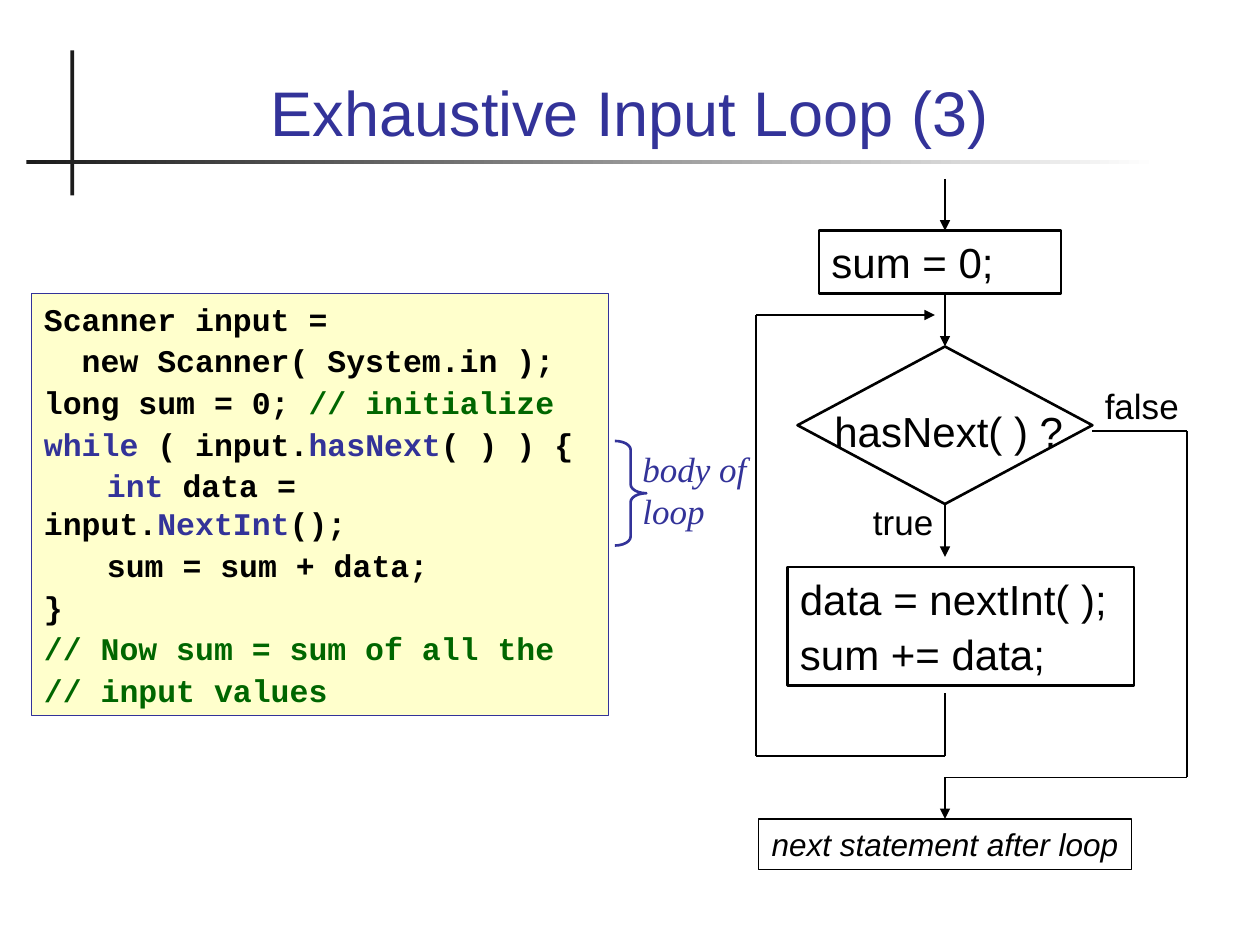
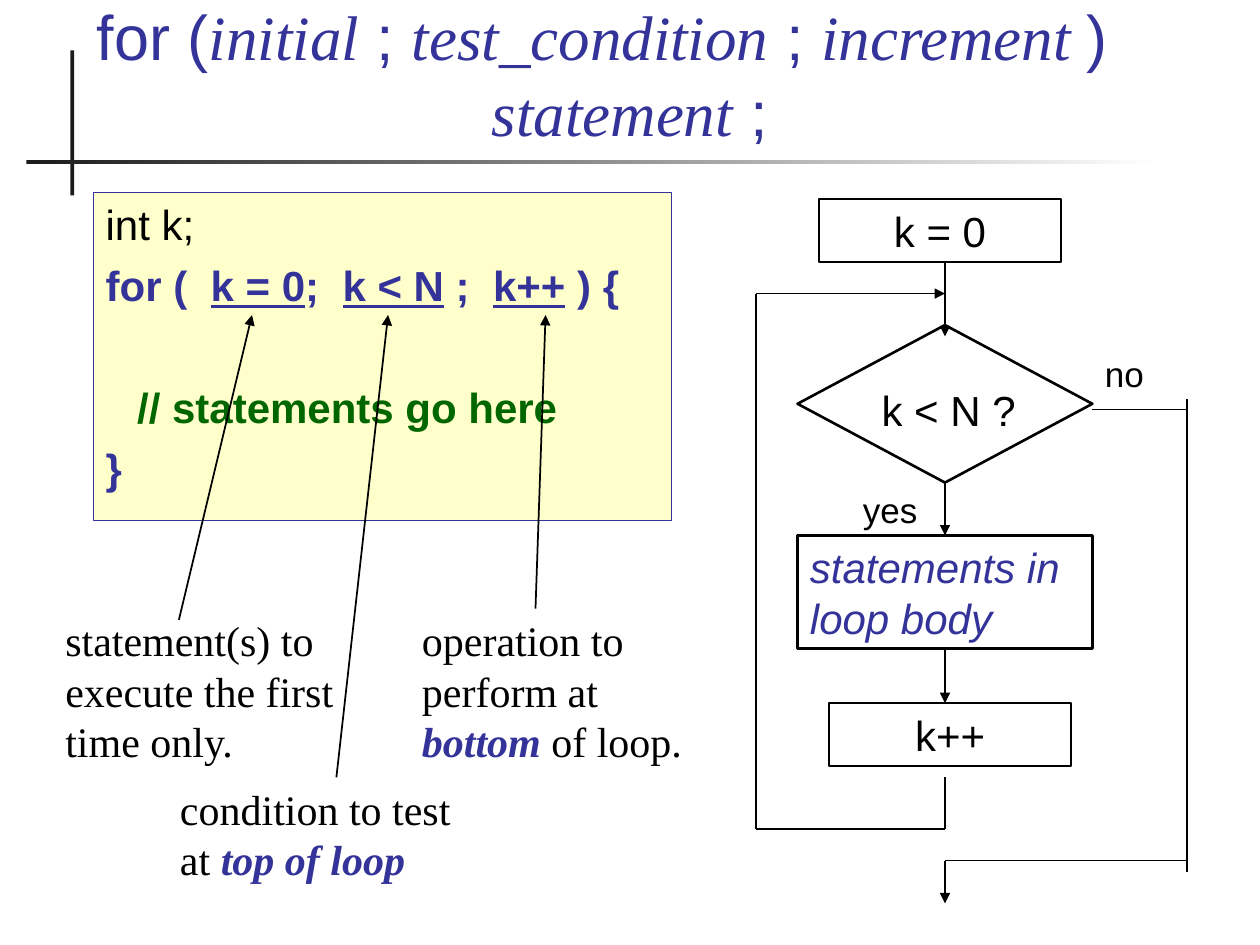
from dataclasses import dataclass, field
from itertools import pairwise
from typing import Optional

from lxml import etree
from pptx import Presentation
from pptx.dml.color import RGBColor
from pptx.enum.shapes import MSO_CONNECTOR, MSO_SHAPE
from pptx.enum.text import MSO_ANCHOR, PP_ALIGN
from pptx.oxml.ns import qn
from pptx.util import Inches, Pt

BLACK = RGBColor(0x00, 0x00, 0x00)
WHITE = RGBColor(0xFF, 0xFF, 0xFF)
CHARCOAL = RGBColor(0x1C, 0x1C, 0x1C)
INDIGO = RGBColor(0x33, 0x33, 0x99)
GREEN = RGBColor(0x00, 0x66, 0x00)
CREAM = RGBColor(0xFF, 0xFF, 0xCC)

SANS, SERIF, MONO = "Arial", "Times New Roman", "Courier New"
LEFT, CENTER = PP_ALIGN.LEFT, PP_ALIGN.CENTER
TOP, BOTTOM = MSO_ANCHOR.TOP, MSO_ANCHOR.BOTTOM
RECTANGLE, DECISION = MSO_SHAPE.RECTANGLE, MSO_SHAPE.FLOWCHART_DECISION
BRACE = MSO_SHAPE.RIGHT_BRACE
STRAIGHT = MSO_CONNECTOR.STRAIGHT
TOP_SITE, BOTTOM_SITE = 0, 2

LINE_HEIGHT = 1.2
FLOW_X, LOOP_X, EXIT_X = 7.5, 6, 9.42
DECISION_LEFT, DECISION_WIDTH, DECISION_HEIGHT = 6.33, 2.34, 1.25
DECISION_RIGHT = DECISION_LEFT + DECISION_WIDTH


@dataclass
class Span:
    """A run; unset values come from its block."""
    text: str
    color: Optional[RGBColor] = None
    font: Optional[str] = None
    bold: Optional[bool] = None
    italic: Optional[bool] = None
    underline: Optional[bool] = None


@dataclass
class Para:
    spans: list[Span]
    gap: Optional[float] = None
    indent: float = 0


@dataclass
class Block:
    """Text with an optional outline and fill; place is left, top, width, height."""
    place: tuple[float, float, float, float]
    paras: list[Para] = field(default_factory=list)
    size: float = 24
    font: str = SANS
    color: RGBColor = BLACK
    bold: bool = False
    italic: bool = False
    align: PP_ALIGN = LEFT
    anchor: MSO_ANCHOR = TOP
    gap: float = 0
    wrap: bool = True
    fill: Optional[RGBColor] = None
    border: Optional[RGBColor] = None
    border_width: float = 1.5


def line_of(text: str, color: Optional[RGBColor] = None) -> Para:
    return Para([Span(text, color)])


def add_outline(page, kind, place, color=None, width=1.5, fill=None):
    shape = page.shapes.add_shape(kind, *map(Inches, place))
    shape.shadow.inherit = False
    if fill is None:
        shape.fill.background()
    else:
        shape.fill.solid()
        shape.fill.fore_color.rgb = fill
    if color is None:
        shape.line.fill.background()
    else:
        shape.line.color.rgb = color
        shape.line.width = Pt(width)
    return shape


def add_spans(para, spans: list[Span]) -> None:
    for span in spans:
        if span.text == "\n":
            para.add_line_break()
            continue
        run = para.add_run()
        run.text = span.text
        if span.color is not None:
            run.font.color.rgb = span.color
        if span.font:
            run.font.name = span.font
        for name in ("bold", "italic", "underline"):
            if getattr(span, name) is not None:
                setattr(run.font, name, getattr(span, name))


def add_block(page, block: Block):
    if block.border is None:
        box = page.shapes.add_textbox(*map(Inches, block.place))
    else:
        box = add_outline(page, RECTANGLE, block.place, block.border,
                          block.border_width, block.fill)
    frame = box.text_frame
    frame.word_wrap = block.wrap
    frame.vertical_anchor = block.anchor
    for index, item in enumerate(block.paras):
        para = frame.add_paragraph() if index else frame.paragraphs[0]
        para.alignment = block.align
        para.line_spacing = Pt(LINE_HEIGHT * block.size)
        if index:
            para.space_before = Pt(block.gap if item.gap is None else item.gap)
        if item.indent:
            para._p.get_or_add_pPr().set("marL", str(Inches(item.indent)))
        para.font.name = block.font
        para.font.size = Pt(block.size)
        para.font.bold = block.bold
        para.font.italic = block.italic
        para.font.color.rgb = block.color
        add_spans(para, item.spans)
    return box


def add_route(page, *points: tuple[float, float], arrow: bool = True,
              width: float = 0.75, start=None, finish=None) -> None:
    """Straight connectors through the points, the last with an arrowhead."""
    legs = []
    for begin, end in pairwise(points):
        leg = page.shapes.add_connector(STRAIGHT, *map(Inches, begin + end))
        leg.line.color.rgb = BLACK
        leg.line.width = Pt(width)
        etree.SubElement(leg._element.spPr, qn("a:effectLst"))
        legs.append(leg)
    if arrow:
        etree.SubElement(legs[-1].line._get_or_add_ln(), qn("a:tailEnd"), type="triangle")
    if start is not None:
        legs[0].begin_connect(start, BOTTOM_SITE)
    if finish is not None:
        legs[-1].end_connect(finish, TOP_SITE)


def add_page(deck, title: list[Span]):
    """A blank page with the crossed title rules and the title."""
    page = deck.slides.add_slide(deck.slide_layouts[6])
    add_outline(page, RECTANGLE, (0.56, 0.4, 0.03, 1.15), fill=CHARCOAL)
    rule = add_outline(page, RECTANGLE, (0.21, 1.27, 8.99, 0.03))
    rule.fill.gradient()
    rule.fill.gradient_angle = 0
    for stop, color in zip(rule.fill.gradient_stops, (CHARCOAL, WHITE)):
        stop.color.rgb = color
    add_block(page, Block((0.67, 0.28, 8.66, 0.95), [Para(title)], size=36,
                          color=INDIGO, align=CENTER, anchor=BOTTOM))
    return page


def add_step(page, left: float, top: float, text: str, align=CENTER):
    return add_block(page, Block((left, top, 1.92, 0.5), [line_of(text)],
                                 align=align, border=BLACK))


def add_decision(page, top: float, question: str):
    decision = add_outline(page, DECISION,
                           (DECISION_LEFT, top, DECISION_WIDTH, DECISION_HEIGHT), BLACK)
    add_block(page, Block((DECISION_LEFT, top + 0.42, 2.4, 0.5),
                          [line_of(question)], align=CENTER))
    return decision


def add_branch(page, left: float, top: float, text: str) -> None:
    add_block(page, Block((left, top, 0.83, 0.44), [line_of(text)], size=20))


def build_input_loop(deck) -> None:
    page = add_page(deck, [Span("Exhaustive Input Loop (3)")])

    # Flowchart
    add_route(page, (FLOW_X, 1.42), (FLOW_X, 1.83))
    add_step(page, 6.5, 1.83, "sum = 0;", LEFT)
    decision = add_decision(page, 2.75, "hasNext( ) ?")
    add_route(page, (FLOW_X, 2.33), (FLOW_X, 2.75), finish=decision)
    add_route(page, (FLOW_X, 4), (FLOW_X, 4.42), start=decision)
    add_block(page, Block((6.25, 4.5, 2.75, 0.94),
                          [line_of("data = nextInt( );"), line_of("sum += data;")],
                          gap=3, border=BLACK))
    add_route(page, (FLOW_X, 5.5), (FLOW_X, 6), (LOOP_X, 6), (LOOP_X, 2.5), (7.42, 2.5))
    add_branch(page, 6.83, 3.92, "true")
    add_branch(page, DECISION_RIGHT, 3, "false")
    after_loop = add_block(page, Block(
        (6.02, 6.5, 2.96, 0.4), [line_of("next statement after loop")], size=18,
        italic=True, align=CENTER, wrap=False, border=BLACK, border_width=0.75))
    add_route(page, (DECISION_RIGHT, 3.42), (EXIT_X, 3.42), (EXIT_X, 6.17),
              (FLOW_X, 6.17), (FLOW_X, 6.5), finish=after_loop)

    # Brace and its label
    brace = add_outline(page, BRACE, (4.88, 3.5, 0.25, 0.83), INDIGO)
    brace.adjustments[0] = 0.28
    add_block(page, Block((5, 3.5, 1.17, 0.77), [line_of("body of loop")], size=20,
                          font=SERIF, color=INDIGO, italic=True))

    # Code
    code = [
        line_of("Scanner input ="),
        line_of("  new Scanner( System.in );"),
        Para([Span("long sum = 0; "), Span("// initialize", GREEN)]),
        Para([Span("while", INDIGO), Span(" ( input."), Span("hasNext", INDIGO),
              Span("( ) ) {")]),
        Para([Span("\t"), Span("int", INDIGO), Span(" data = input."),
              Span("NextInt", INDIGO), Span("();")]),
        line_of("\tsum = sum + data;"),
        line_of("}"),
        line_of("// Now sum = sum of all the", GREEN),
        line_of("// input values", GREEN),
    ]
    add_block(page, Block((0.25, 2.33, 4.58, 3.35), code, size=18, font=MONO, bold=True,
                          gap=2.2, fill=CREAM, border=INDIGO, border_width=0.75))


def build_for_loop(deck) -> None:
    def term(text: str) -> Span:
        return Span(text, font=SERIF, italic=True)

    def part(text: str) -> Span:
        return Span(text, INDIGO, underline=True)

    def strong(text: str) -> Span:
        return Span(text, INDIGO, bold=True, italic=True)

    page = add_page(deck, [
        Span("for ("), term("initial"), Span(" ; "), term("test_condition"), Span(" ; "),
        term("increment "), Span(") \t"), term("statement"), Span(" ;")])

    # Code
    code = [
        Para([Span("int k;", BLACK, bold=False)]),
        Para([Span("for (  "), part("k = 0"), Span(";  "), part("k < N"), Span(" ;  "),
              part("k++"), Span(" ) {")]),
        Para([Span("// statements go here", GREEN)], gap=40.8, indent=0.25),
        line_of("}"),
    ]
    add_block(page, Block((0.74, 1.53, 4.59, 2.6), code, color=INDIGO, bold=True, gap=6,
                          fill=CREAM, border=INDIGO, border_width=0.75))

    # Explanations with arrows to the parts of the loop header
    notes = [
        ((0.42, 4.83, 2.42, 1.3), (1.42, 4.92), (2, 2.5),
         [Span("statement(s) to execute the first time only.")]),
        ((1.33, 6.17, 2.58, 0.9), (2.67, 6.17), (3.08, 2.5),
         [Span("condition to test "), Span("\n"), Span("at "), strong("top of loop")]),
        ((3.25, 4.83, 2.42, 1.3), (4.25, 4.83), (4.33, 2.5),
         [Span("operation to perform at "), strong("bottom"), Span(" of loop.")]),
    ]
    for place, begin, end, spans in notes:
        add_route(page, begin, end, width=1)
        add_block(page, Block(place, [Para(spans)], font=SERIF))

    # Flowchart
    add_step(page, 6.5, 1.58, "k = 0")
    decision = add_decision(page, 2.58, "k < N ?")
    body = add_block(page, Block((DECISION_LEFT, 4.25, DECISION_WIDTH, 0.9),
                                 [line_of("statements in loop body")],
                                 color=INDIGO, italic=True, border=BLACK))
    add_step(page, 6.58, 5.58, "k++")
    add_route(page, (FLOW_X, 2.08), (FLOW_X, 2.67))
    add_route(page, (FLOW_X, 3.83), (FLOW_X, 4.25), start=decision, finish=body)
    add_route(page, (FLOW_X, 5.15), (FLOW_X, 5.58), start=body)
    add_route(page, (FLOW_X, 6.17), (FLOW_X, 6.58), (LOOP_X, 6.58), (LOOP_X, 2.33),
              (FLOW_X, 2.33))
    add_branch(page, 6.75, 3.83, "yes")
    add_branch(page, DECISION_RIGHT, 2.75, "no")
    add_route(page, (DECISION_RIGHT, 3.25), (EXIT_X, 3.25), arrow=False)
    add_route(page, (EXIT_X, 3.17), (EXIT_X, 6.92), arrow=False)
    add_route(page, (EXIT_X, 6.83), (FLOW_X, 6.83), (FLOW_X, 7.17))


def main() -> None:
    deck = Presentation()
    deck.slide_width = Inches(10)
    deck.slide_height = Inches(7.5)
    build_input_loop(deck)
    build_for_loop(deck)
    deck.save("out.pptx")


if __name__ == "__main__":
    main()
